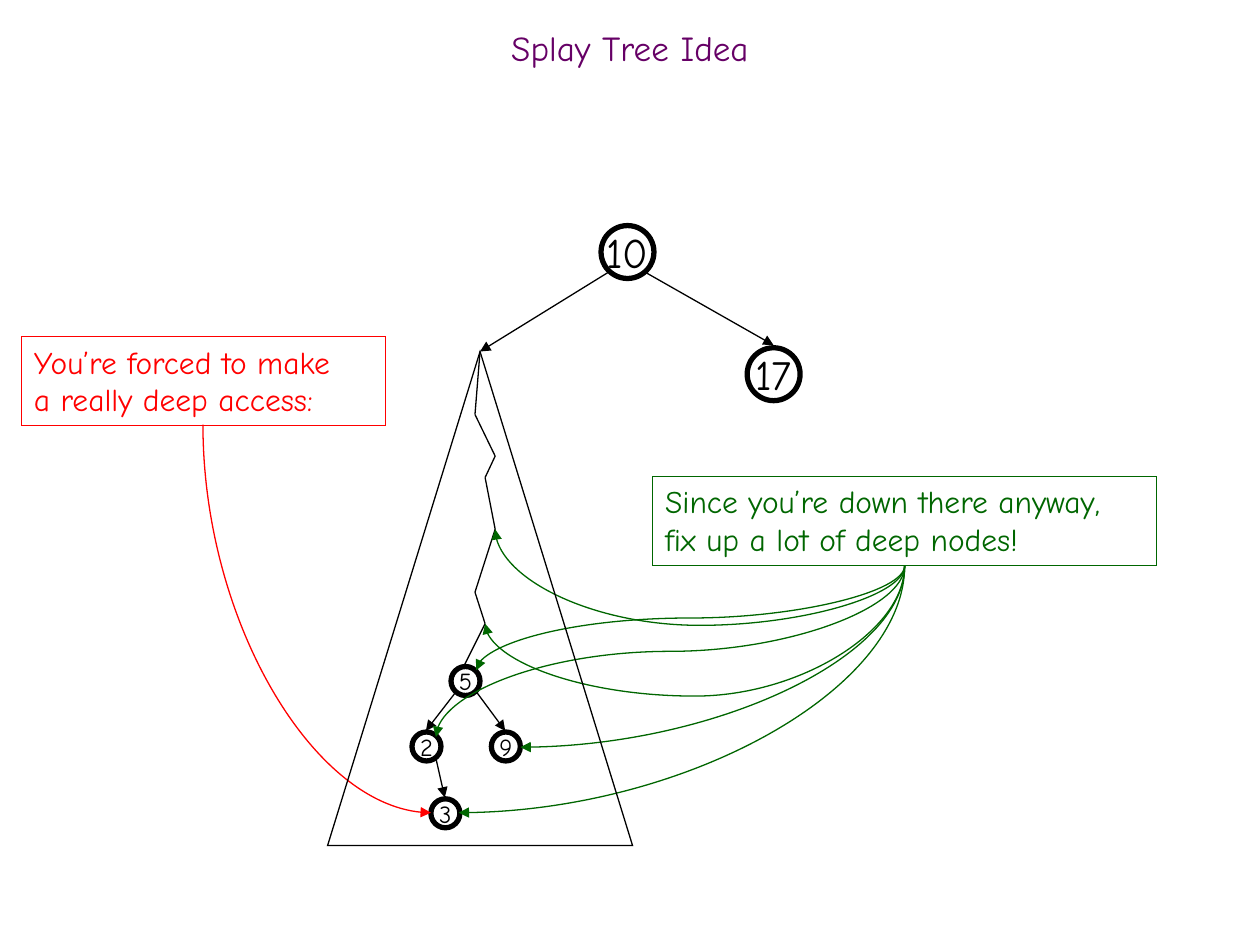
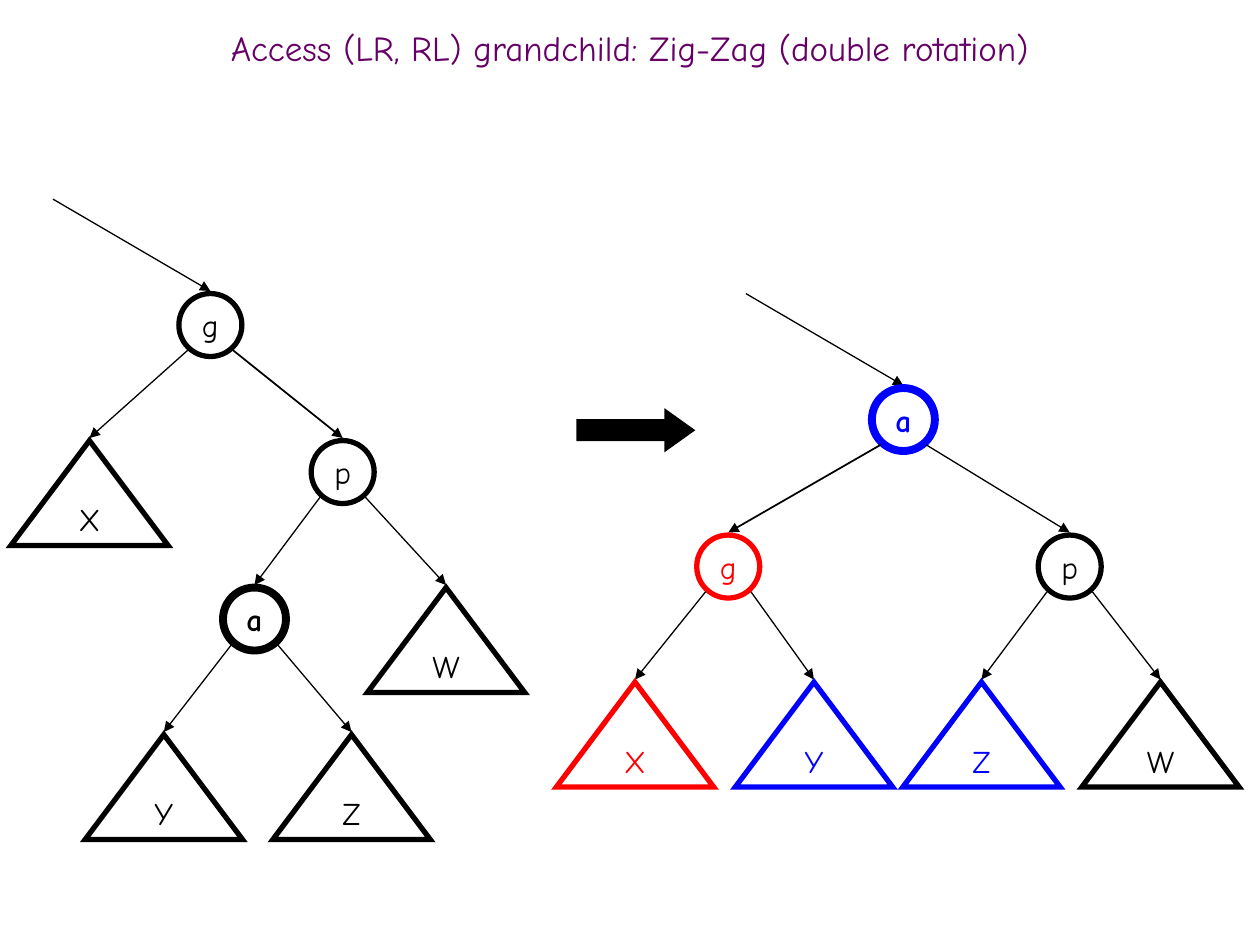
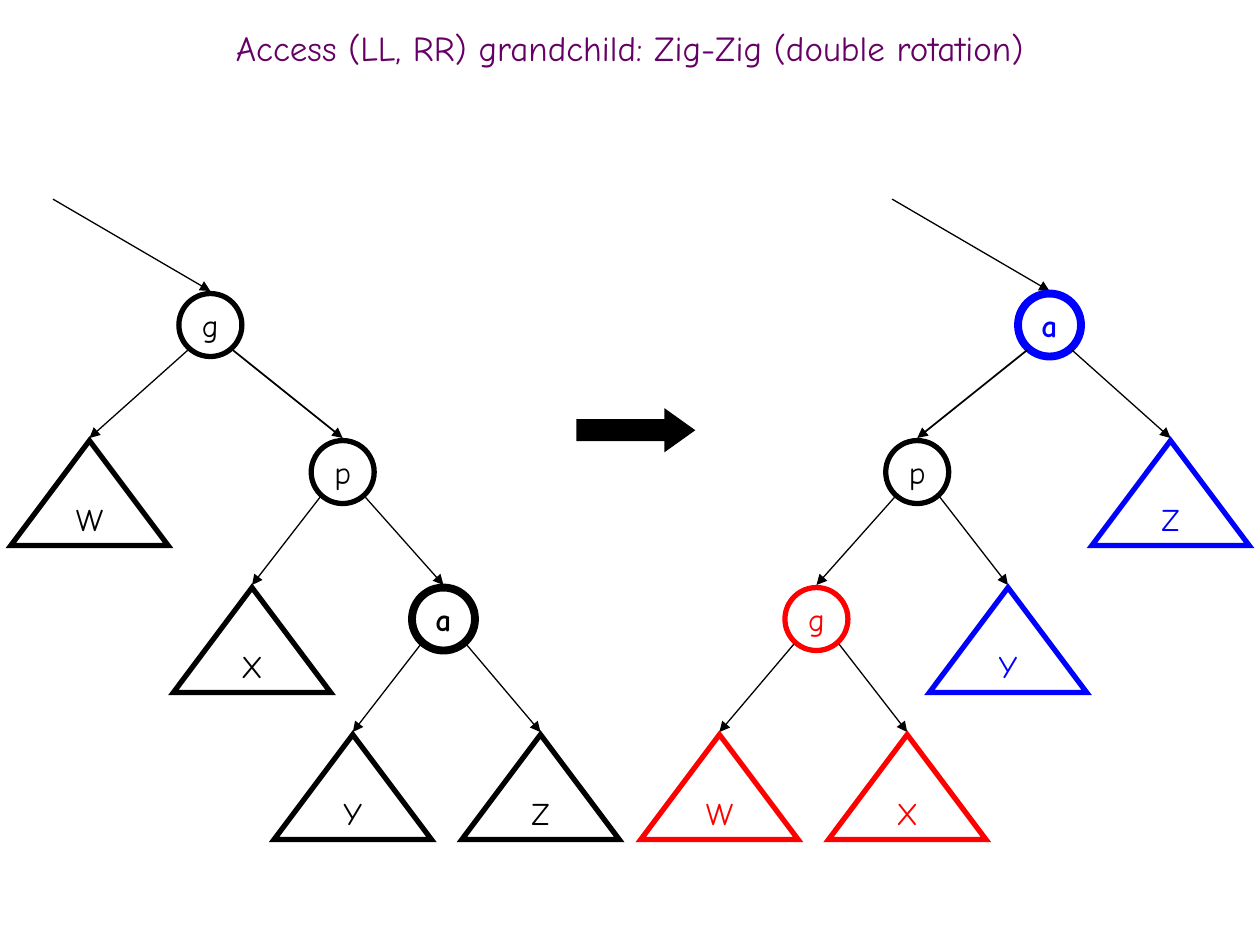
from itertools import pairwise

from lxml import etree
from pptx import Presentation
from pptx import util as u
from pptx.dml.color import RGBColor
from pptx.enum import shapes, text
from pptx.oxml.ns import qn

FONT = "Comic Neue"
BLACK, RED, GREEN, BLUE, PURPLE = "000000", "FF0000", "006600", "0000FF", "660066"
PRESET, CONNECTOR = shapes.MSO_SHAPE, shapes.MSO_CONNECTOR
color = RGBColor.from_string


def add_node(slide, preset, left, top, width, height, label="", size=18, ink=BLACK, weight=3, bold=False):
    node = slide.shapes.add_shape(preset, *map(u.Inches, (left, top, width, height)))
    node.shadow.inherit = False
    node.fill.background()
    node.line.color.rgb = color(ink)
    node.line.width = u.Pt(weight)
    etree.SubElement(node._element.spPr.find(qn("a:ln")), qn("a:miter"), lim="800000")
    frame = node.text_frame
    frame.word_wrap = False
    frame.vertical_anchor = text.MSO_ANCHOR.MIDDLE
    if label:
        frame.text = label
        for paragraph in frame.paragraphs:
            paragraph.alignment = text.PP_ALIGN.CENTER
            font = paragraph.runs[0].font
            font.name, font.size, font.bold = FONT, u.Pt(size), bold
            font.color.rgb = color(ink)
    return node


def add_link(slide, x1, y1, x2, y2, ink=BLACK, weight=0.75, arrow=True, kind=CONNECTOR.STRAIGHT):
    link = slide.shapes.add_connector(kind, *map(u.Inches, (x1, y1, x2, y2)))
    link.line.color.rgb = color(ink)
    link.line.width = u.Pt(weight)
    properties = link._element.spPr
    if arrow:
        etree.SubElement(properties.find(qn("a:ln")), qn("a:tailEnd"), type="triangle")
    etree.SubElement(properties, qn("a:effectLst"))
    return properties


deck = Presentation()
deck.slide_width, deck.slide_height = u.Inches(10), u.Inches(7.5)

slides = []
for heading in (
    "Splay Tree Idea",
    "Access (LR, RL) grandchild: Zig-Zag (double rotation)",
    "Access (LL, RR) grandchild: Zig-Zig (double rotation)",
):
    slide = deck.slides.add_slide(deck.slide_layouts[5])
    title = slide.shapes.title
    title.left, title.top = 0, u.Inches(0.17)
    title.width, title.height = deck.slide_width, u.Inches(0.5)
    title.text_frame.text = heading
    title.text_frame.vertical_anchor = text.MSO_ANCHOR.MIDDLE
    paragraph = title.text_frame.paragraphs[0]
    paragraph.alignment = text.PP_ALIGN.CENTER
    paragraph.line_spacing = 0.7
    font = paragraph.runs[0].font
    font.name, font.size = FONT, u.Pt(20)
    font.color.rgb = color(PURPLE)
    slides.append(slide)

idea, zig_zag, zig_zig = slides

for label, left, top, diameter, size in (
    ("17", 5.93, 2.76, 0.42, 24),
    ("10", 4.77, 1.79, 0.42, 24),
    ("9", 3.9, 5.81, 0.23, 14),
    ("2", 3.27, 5.81, 0.23, 14),
    ("5", 3.58, 5.29, 0.23, 14),
    ("3", 3.42, 6.34, 0.23, 14),
):
    add_node(idea, PRESET.OVAL, left, top, diameter, diameter, label, size)

for ends in (
    (4.83, 2.16, 3.81, 2.79),
    (5.12, 2.16, 6.14, 2.74),
    (3.62, 5.49, 3.38, 5.8),
    (3.78, 5.49, 4.01, 5.8),
    (3.46, 6.02, 3.53, 6.33),
):
    add_link(idea, *ends)

deep_trail = [(3.81, 2.79), (3.77, 3.29), (3.93, 3.62), (3.85, 3.79),
              (3.93, 4.2), (3.77, 4.7), (3.85, 4.95), (3.68, 5.29)]
for start, end in pairwise(deep_trail):
    add_link(idea, *start, *end, arrow=False)

for remark, left, top, width, ink in (
    ("You’re forced to make\na really deep access:", 0.17, 2.67, 2.89, RED),
    ("Since you’re down there anyway,\nfix up a lot of deep nodes!", 5.18, 3.78, 4, GREEN),
):
    callout = add_node(idea, PRESET.RECTANGLE, left, top, width, 0.71, remark, 18, ink, 0.75)
    callout.text_frame.word_wrap = True
    callout.text_frame.vertical_anchor = text.MSO_ANCHOR.TOP
    for paragraph in callout.text_frame.paragraphs:
        paragraph.alignment = text.PP_ALIGN.LEFT

for x1, y1, x2, y2, ink, bend in (
    (1.61, 3.37, 3.42, 6.45, RED, None),
    (7.18, 4.49, 3.64, 6.45, GREEN, None),
    (7.18, 4.49, 3.46, 5.85, GREEN, 0.5),
    (7.18, 4.49, 4.13, 5.93, GREEN, None),
    (7.18, 4.49, 3.78, 5.32, GREEN, 0.5),
    (7.18, 4.49, 3.85, 4.95, GREEN, 2.25),
    (7.18, 4.49, 3.93, 4.2, GREEN, -1.63),
):
    middle_x, middle_y = (x1 + x2) / 2, (y1 + y2) / 2
    half_width, half_height = abs(y2 - y1) / 2, abs(x2 - x1) / 2
    curve = add_link(idea, middle_x - half_width, middle_y - half_height,
                     middle_x + half_width, middle_y + half_height, ink, kind=CONNECTOR.CURVE)
    rightward, upward = x2 > x1, y2 < y1
    frame = curve.find(qn("a:xfrm"))
    frame.set("rot", str((270 if rightward else 90) * 60000))
    if rightward != upward:
        frame.set("flipH", "1")
    geometry = curve.find(qn("a:prstGeom"))
    if bend is None:
        geometry.set("prst", "curvedConnector2")
    else:
        guides = geometry.find(qn("a:avLst"))
        etree.SubElement(guides, qn("a:gd"), name="adj1", fmla=f"val {round(bend * 100000)}")

add_node(idea, PRESET.ISOSCELES_TRIANGLE, 2.6, 2.79, 2.42, 3.92, weight=0.75)

ROW = 7 / 6
CIRCLE, TREE_WIDTH, TREE_HEIGHT = 0.5, 1.25, 5 / 6
rotations = (
    (zig_zag, 2.33, (
        ("g", 1.67, 0, None, BLACK), ("p", 2.72, 1, "g", BLACK), ("X", 0.71, 1, "g", BLACK),
        ("a", 2.02, 2, "p", BLACK), ("W", 3.54, 2, "p", BLACK),
        ("Y", 1.3, 3, "a", BLACK), ("Z", 2.79, 3, "a", BLACK))),
    (zig_zag, 3.08, (
        ("a", 7.17, 0, None, BLUE), ("g", 5.78, 1, "a", RED), ("p", 8.49, 1, "a", BLACK),
        ("X", 5.04, 2, "g", RED), ("Y", 6.46, 2, "g", BLUE),
        ("Z", 7.79, 2, "p", BLUE), ("W", 9.21, 2, "p", BLACK))),
    (zig_zig, 2.33, (
        ("g", 1.67, 0, None, BLACK), ("p", 2.72, 1, "g", BLACK), ("W", 0.71, 1, "g", BLACK),
        ("X", 2, 2, "p", BLACK), ("a", 3.52, 2, "p", BLACK),
        ("Y", 2.8, 3, "a", BLACK), ("Z", 4.29, 3, "a", BLACK))),
    (zig_zig, 2.33, (
        ("a", 8.33, 0, None, BLUE), ("p", 7.28, 1, "a", BLACK), ("Z", 9.29, 1, "a", BLUE),
        ("Y", 8, 2, "p", BLUE), ("g", 6.48, 2, "p", RED),
        ("W", 5.71, 3, "g", RED), ("X", 7.2, 3, "g", RED))),
)
for slide, root_top, members in rotations:
    places = {}
    for order, (label, center, row, parent, ink) in enumerate(members):
        top = root_top + row * ROW
        places[label] = center, top
        if parent is None:
            start_x, start_y = center - 1.25, top - 0.75
        else:
            parent_center, parent_top = places[parent]
            side = 0.18 if center > parent_center else -0.18
            start_x, start_y = parent_center + side, parent_top + 0.45
        add_link(slide, start_x, start_y, center, top - 0.02, weight=1 if order == 1 else 0.75)
        if label.isupper():
            add_node(slide, PRESET.ISOSCELES_TRIANGLE, center - TREE_WIDTH / 2, top,
                     TREE_WIDTH, TREE_HEIGHT, label, ink=ink)
        else:
            accessed = label == "a"
            add_node(slide, PRESET.OVAL, center - CIRCLE / 2, top, CIRCLE, CIRCLE, label,
                     ink=ink, weight=4.5 if accessed else 3, bold=accessed)

for slide in (zig_zag, zig_zig):
    becomes = add_node(slide, PRESET.RIGHT_ARROW, 4.58, 3.25, 0.93, 0.33, weight=0.75)
    becomes.fill.solid()
    becomes.fill.fore_color.rgb = color(BLACK)
    becomes.adjustments[1] = 0.7

deck.save("out.pptx")
